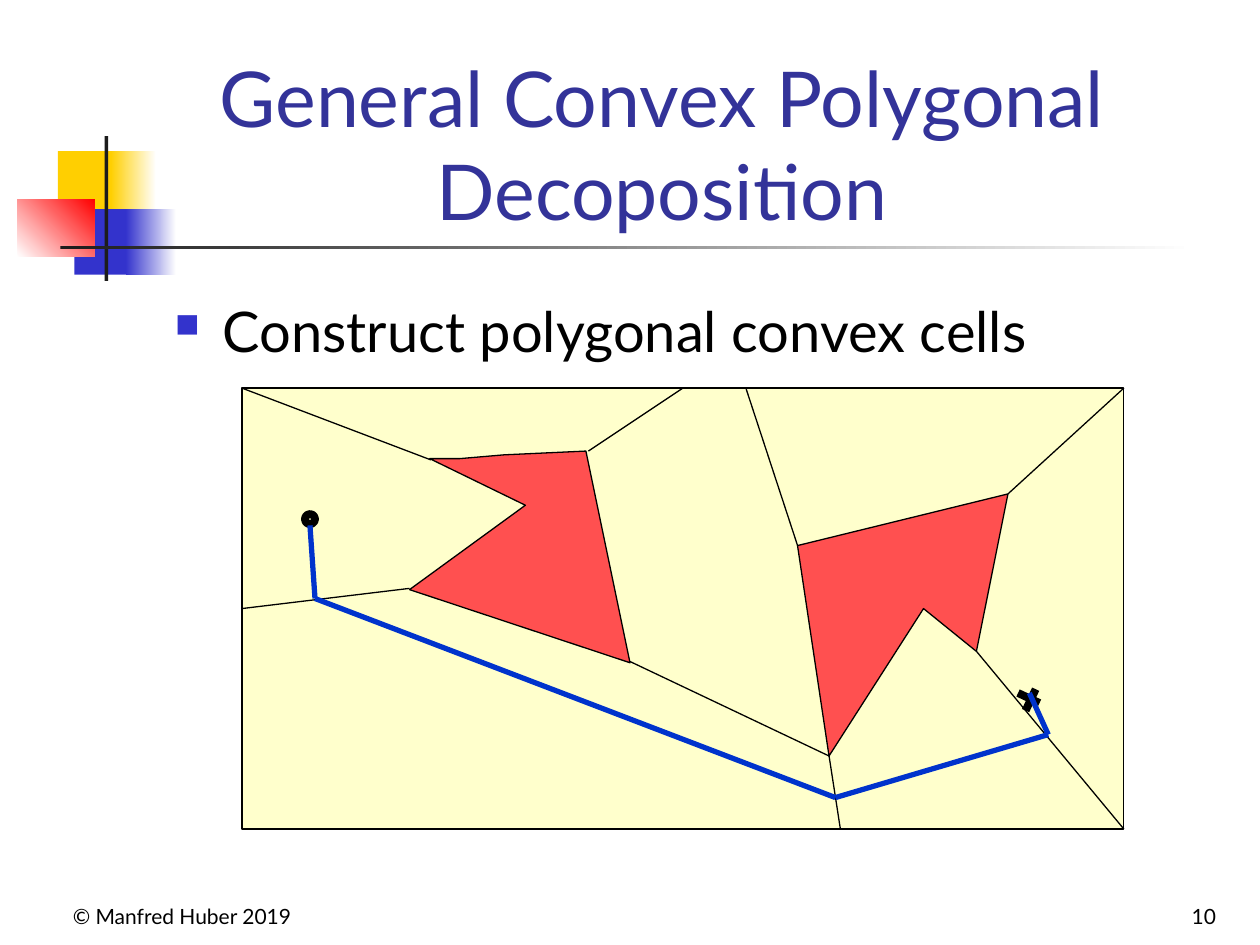
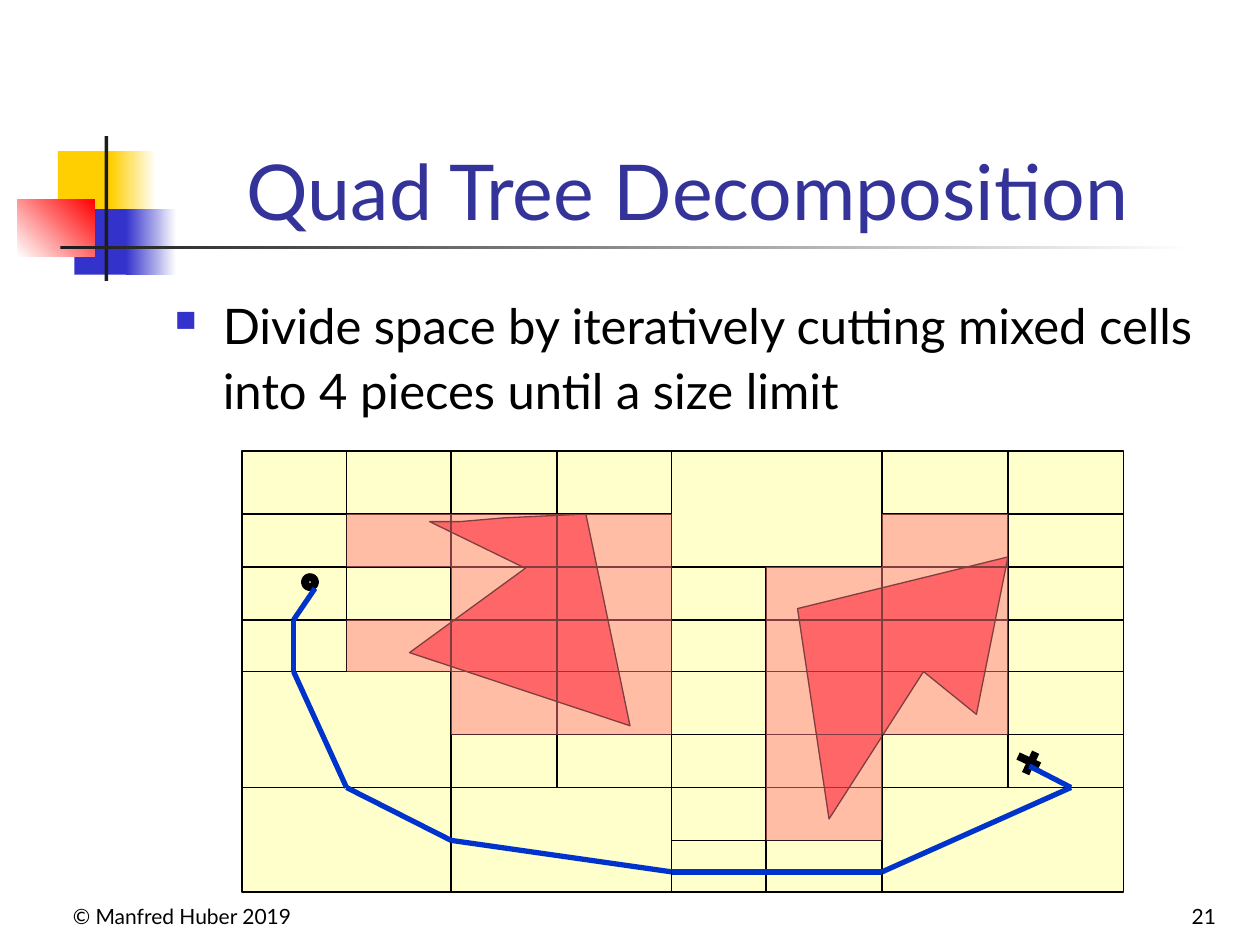
from dataclasses import dataclass
from itertools import pairwise

from lxml import etree
from pptx import Presentation
from pptx import util as u
from pptx.dml.color import RGBColor
from pptx.enum import shapes, text
from pptx.oxml import ns


@dataclass(frozen=True)
class Theme:
    """Colours, type sizes and line widths of the deck."""
    font: str = "Lato"
    white: str = "FFFFFF"
    ink: str = "000000"
    title: str = "333399"
    gold: str = "FFCF01"
    blue: str = "3333CC"
    red: str = "FF0000"
    bar: str = "1C1C1C"
    free: str = "FFFFCC"
    block: str = "FF5050"
    mixed: str = "FF7C80"
    route: str = "0033CC"
    head: int = 44
    foot: int = 12
    thin: float = 0.75
    bold: float = 3
    mark: float = 4.5


T = Theme()
FIELD_W, FIELD_H = 7, 3.5

LEFT = [(2.73, 0.5), (2.08, 0.53), (1.73, 0.56), (1.49, 0.56), (2.25, 0.93), (1.33, 1.6), (3.08, 2.18)]
RIGHT = [(4.41, 1.25), (4.66, 2.92), (5.41, 1.75), (5.83, 2.09), (6.08, 0.84)]
SEAMS = [
    ((1.5, 0.57), (0, 0)), ((1.33, 1.59), (0, 1.75)),
    ((2.75, 0.5), (3.5, 0)), ((3.08, 2.17), (4.66, 2.92)),
    ((4.66, 2.92), (4.75, FIELD_H)), ((4.41, 1.25), (4, 0)),
    ((5.83, 2.09), (FIELD_W, FIELD_H)), ((6.08, 0.84), (FIELD_W, 0)),
]
CONVEX_ROUTE = [(0.54, 1.09), (0.58, 1.67), (4.71, 3.25), (6.4, 2.75), (6.25, 2.42)]

COLS = [0, 0.83, 1.66, 2.5, 3.41, 4.16, 5.08, 6.08, FIELD_W]
ROWS = [0, 0.5, 0.92, 1.34, 1.75, 2.25, 2.67, 3.09, FIELD_H]
WHOLE = {(2, 4), (4, 0), (0, 4), (0, 6), (2, 6), (6, 6)} - {(2, 4)}
MIXED = [
    [(1, 1), (4, 1), (4, 5), (2, 5), (2, 4), (1, 4), (1, 3), (2, 3), (2, 2), (1, 2)],
    [(5, 2), (6, 2), (6, 1), (7, 1), (7, 5), (6, 5), (6, 7), (5, 7)],
]
QUAD_ROUTE = [
    (0.58, 1.09), (0.41, 1.34), (0.41, 1.75), (0.83, 2.67), (1.66, 3.09),
    (3.41, 3.34), (5.08, 3.34), (6.58, 2.67), (6.25, 2.5),
]


def rgb(code):
    """Turn a hex code into a colour."""
    return RGBColor.from_string(code)


def paint(shape, fill, line=None, width=T.thin, alpha=None):
    """Set fill, outline and opacity, without a shadow."""
    shape.shadow.inherit = False
    shape.fill.solid()
    shape.fill.fore_color.rgb = rgb(fill)
    if alpha:
        tint = shape._element.spPr.find(".//" + ns.qn("a:srgbClr"))
        etree.SubElement(tint, ns.qn("a:alpha"), val=str(alpha * 1000))
    if line:
        shape.line.color.rgb = rgb(line)
        shape.line.width = u.Pt(width)
    else:
        shape.line.fill.background()


def block(slide, box, fill, kind=shapes.MSO_SHAPE.RECTANGLE, **look):
    """Add a filled preset shape."""
    shape = slide.shapes.add_shape(kind, *map(u.Inches, box))
    paint(shape, fill, **look)
    return shape


def fade(slide, box, start, end, angle=0):
    """Add a rectangle with a two-colour gradient."""
    fill = block(slide, box, start).fill
    fill.gradient()
    fill.gradient_angle = angle
    for stop, code in zip(fill.gradient_stops, (start, end)):
        stop.color.rgb = rgb(code)


def poly(slide, org, pts, fill, **look):
    """Add a closed outline placed from an origin."""
    spots = [(u.Inches(org[0] + x), u.Inches(org[1] + y)) for x, y in pts]
    maker = slide.shapes.build_freeform(*spots[0], scale=1.0)
    maker.add_line_segments(spots[1:], close=True)
    paint(maker.convert_to_shape(), fill, **look)


def line(slide, org, start, end, code=T.ink, width=T.thin):
    """Add a straight line placed from an origin."""
    ends = [u.Inches(o + v) for point in (start, end) for o, v in zip(org, point)]
    link = slide.shapes.add_connector(shapes.MSO_CONNECTOR.STRAIGHT, *ends)
    link.line.color.rgb = rgb(code)
    link.line.width = u.Pt(width)
    etree.SubElement(link._element.spPr, ns.qn("a:effectLst"))


def write(slide, box, words, size, code=T.ink, align="LEFT", anchor="BOTTOM"):
    """Add wrapped text and return its paragraph."""
    frame = slide.shapes.add_textbox(*map(u.Inches, box)).text_frame
    frame.word_wrap = True
    frame.vertical_anchor = text.MSO_ANCHOR[anchor]
    para = frame.paragraphs[0]
    para.alignment = text.PP_ALIGN[align]
    run = para.add_run()
    run.text = words
    run.font.name = T.font
    run.font.size = u.Pt(size)
    run.font.color.rgb = rgb(code)
    return para


def point(slide, box, words, size):
    """Add a paragraph with a square bullet."""
    para = write(slide, box, words, size, anchor="TOP")
    para.line_spacing = 1.1
    para.space_before = u.Pt(size // 4)
    props = para._p.get_or_add_pPr()
    props.set("marL", str(u.Inches(0.38)))
    props.set("indent", str(u.Inches(-0.38)))
    tint = etree.SubElement(props, ns.qn("a:buClr"))
    etree.SubElement(tint, ns.qn("a:srgbClr"), val=T.blue)
    etree.SubElement(props, ns.qn("a:buSzPct"), val="60000")
    etree.SubElement(props, ns.qn("a:buChar"), char="■")


def emblem(slide, x, y):
    """Draw the corner squares and the title rule."""
    block(slide, (x + 0.32, y + 0.12, 0.48, 0.52), T.gold)
    fade(slide, (x + 0.74, y + 0.12, 0.36, 0.52), T.gold, T.white)
    block(slide, (x + 0.45, y + 0.58, 0.46, 0.52), T.blue)
    fade(slide, (x + 0.86, y + 0.58, 0.4, 0.52), T.blue, T.white)
    fade(slide, (x, y + 0.5, 0.61, 0.46), T.white, T.red, 45)
    block(slide, (x + 0.69, y, 0.03, 1.15), T.bar)
    fade(slide, (x + 0.34, y + 0.87, 9, 0.03), T.bar, T.white)


def base(deck, title, width, words, size, number):
    """Add a slide with emblem, title, bullet and footer."""
    slide = deck.slides.add_slide(deck.slide_layouts[6])
    emblem(slide, 0.14, 1.08)
    write(slide, (0.33, 6.92, 2.08, 0.5), "© Manfred Huber 2019", T.foot, align="RIGHT")
    write(slide, (7.42, 6.92, 2.33, 0.5), number, T.foot, align="RIGHT")
    write(slide, (1.42, 0.67, width, 1.25), title, T.head, T.title, "CENTER")
    point(slide, (1.29, 2.25, 8.5, 1.5), words, size)
    return slide


def field(slide, org):
    """Draw the free space, obstacles, start and goal."""
    x, y = org
    block(slide, (x, y, FIELD_W, FIELD_H), T.free, line=T.ink)
    for pts in (LEFT, RIGHT):
        poly(slide, org, pts, T.block, line=T.ink)
    block(slide, (x + 0.5, y + 1, 0.08, 0.08), T.free, shapes.MSO_SHAPE.OVAL, line=T.ink, width=T.mark)
    line(slide, org, (6.16, 2.42), (6.33, 2.5), width=T.mark)
    line(slide, org, (6.22, 2.56), (6.3, 2.39), width=T.mark)


def route(slide, org, pts):
    """Draw the planned route leg by leg."""
    for start, end in pairwise(pts):
        line(slide, org, start, end, T.route, T.bold)


def split(slide, org, col, row, size=8):
    """Cut a cell into four and go on down to single cells."""
    half = size // 2
    left, mid, right = (COLS[col + k] for k in (0, half, size))
    top, deep, base_y = (ROWS[row + k] for k in (0, half, size))
    line(slide, org, (mid, top), (mid, base_y))
    line(slide, org, (left, deep), (right, deep))
    if half == 1:
        return
    for c in (col, col + half):
        for r in (row, row + half):
            if half > 2 or (c, r) not in WHOLE:
                split(slide, org, c, r, half)


def convex(deck):
    """Build the convex cell slide."""
    slide = base(deck, "General Convex Polygonal Decoposition", 7.67,
                 "Construct polygonal convex cells", 32, "10")
    org = (1.92, 3.08)
    field(slide, org)
    for start, end in SEAMS:
        line(slide, org, start, end)
    route(slide, org, CONVEX_ROUTE)


def quad(deck):
    """Build the quad tree slide."""
    slide = base(deck, "Quad Tree Decomposition", 8.08,
                 "Divide space by iteratively cutting mixed cells into 4 pieces until a size limit",
                 28, "21")
    org = (1.92, 3.58)
    field(slide, org)
    split(slide, org, 0, 0)
    for cells in MIXED:
        poly(slide, org, [(COLS[c], ROWS[r]) for c, r in cells], T.mixed, alpha=50)
    route(slide, org, QUAD_ROUTE)


def main():
    """Build and save the deck."""
    deck = Presentation()
    deck.slide_width, deck.slide_height = u.Inches(10), u.Inches(7.5)
    convex(deck)
    quad(deck)
    deck.save("out.pptx")


if __name__ == "__main__":
    main()
